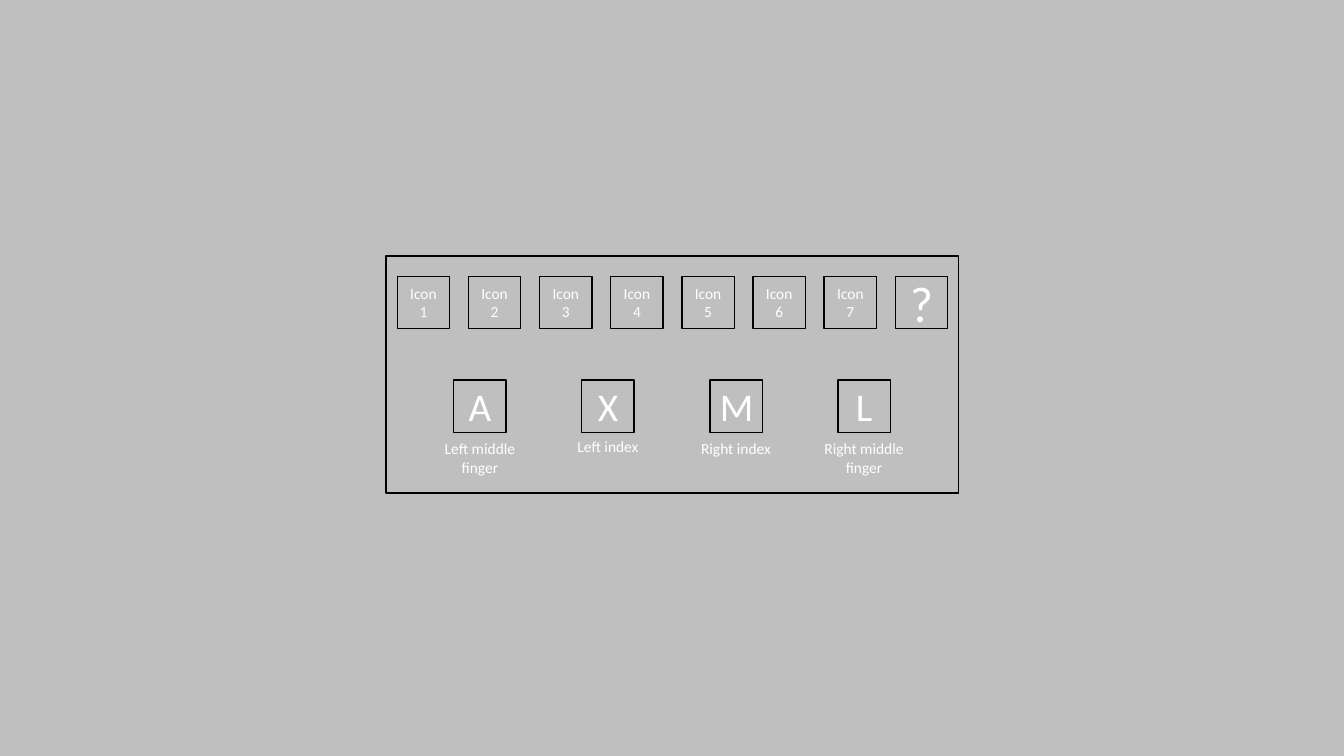
from dataclasses import dataclass

from pptx import Presentation
from pptx.dml.color import RGBColor
from pptx.enum.shapes import MSO_SHAPE
from pptx.enum.text import MSO_ANCHOR, MSO_AUTO_SIZE, PP_ALIGN
from pptx.shapes.autoshape import Shape
from pptx.shapes.shapetree import GroupShapes
from pptx.util import Inches, Pt

FONT = "Calibri"
GREY, BLACK, WHITE = "BFBFBF", "000000", "FFFFFF"
BOX_SIZE = 0.52
CAPTION_WIDTH = 0.98
CAPTION_INSET = 0.05
ICON_TOP, FIRST_ICON_LEFT, LAST_ICON_LEFT = 2.74, 3.94, 8.88
KEY_TOP, FIRST_KEY_LEFT, KEY_PITCH = 3.77, 4.5, 1.27


@dataclass(frozen=True)
class ResponseKey:
    letter: str
    finger: str
    caption_top: float = 4.31
    caption_height: float = 0.47


RESPONSE_KEYS = [
    ResponseKey("A", "Left middle finger"),
    ResponseKey("X", "Left index", caption_top=4.29, caption_height=0.29),
    ResponseKey("M", "Right index", caption_height=0.29),
    ResponseKey("L", "Right middle finger"),
]


def color(value: str) -> RGBColor:
    return RGBColor.from_string(value)


def write(shape: Shape, text: str, size: float) -> None:
    frame = shape.text_frame
    frame.text = text
    frame.word_wrap = True
    for paragraph in frame.paragraphs:
        paragraph.alignment = PP_ALIGN.CENTER
        for run in paragraph.runs:
            run.font.name = FONT
            run.font.size = Pt(size)
            run.font.color.rgb = color(WHITE)


def add_outline(shapes: GroupShapes, left: float, top: float,
                width: float, height: float) -> Shape:
    outline = shapes.add_shape(MSO_SHAPE.RECTANGLE, Inches(left), Inches(top),
                               Inches(width), Inches(height))
    outline.shadow.inherit = False
    outline.fill.background()
    outline.line.color.rgb = color(BLACK)
    outline.line.width = Pt(1)
    return outline


def add_box(shapes: GroupShapes, left: float, top: float,
            text: str, size: float) -> None:
    box = add_outline(shapes, left, top, BOX_SIZE, BOX_SIZE)
    write(box, text, size)
    box.text_frame.vertical_anchor = MSO_ANCHOR.MIDDLE


def add_response_key(shapes: GroupShapes, left: float, key: ResponseKey) -> None:
    """Draw the key box with the finger's caption centred below it."""
    add_box(shapes, left, KEY_TOP, key.letter, 28)
    caption_left = left + (BOX_SIZE - CAPTION_WIDTH) / 2
    caption = shapes.add_textbox(Inches(caption_left), Inches(key.caption_top),
                                 Inches(CAPTION_WIDTH), Inches(key.caption_height))
    write(caption, key.finger, 11)
    frame = caption.text_frame
    frame.margin_left = frame.margin_right = Inches(CAPTION_INSET)
    frame.auto_size = MSO_AUTO_SIZE.SHAPE_TO_FIT_TEXT


def main() -> None:
    presentation = Presentation()
    presentation.slide_width = Inches(13.33)
    presentation.slide_height = Inches(7.5)
    slide = presentation.slides.add_slide(presentation.slide_layouts[6])
    slide.background.fill.solid()
    slide.background.fill.fore_color.rgb = color(GREY)

    panel = slide.shapes.add_group_shape().shapes
    add_outline(panel, 3.83, 2.54, 5.68, 2.35)

    for index, key in enumerate(RESPONSE_KEYS):
        add_response_key(panel, FIRST_KEY_LEFT + index * KEY_PITCH, key)

    sequence = [(f"Icon {number}", 11) for number in range(1, 8)] + [("?", 36)]
    icon_pitch = (LAST_ICON_LEFT - FIRST_ICON_LEFT) / (len(sequence) - 1)
    for index, (label, size) in enumerate(sequence):
        add_box(panel, FIRST_ICON_LEFT + index * icon_pitch, ICON_TOP, label, size)

    presentation.save("out.pptx")


if __name__ == "__main__":
    main()
